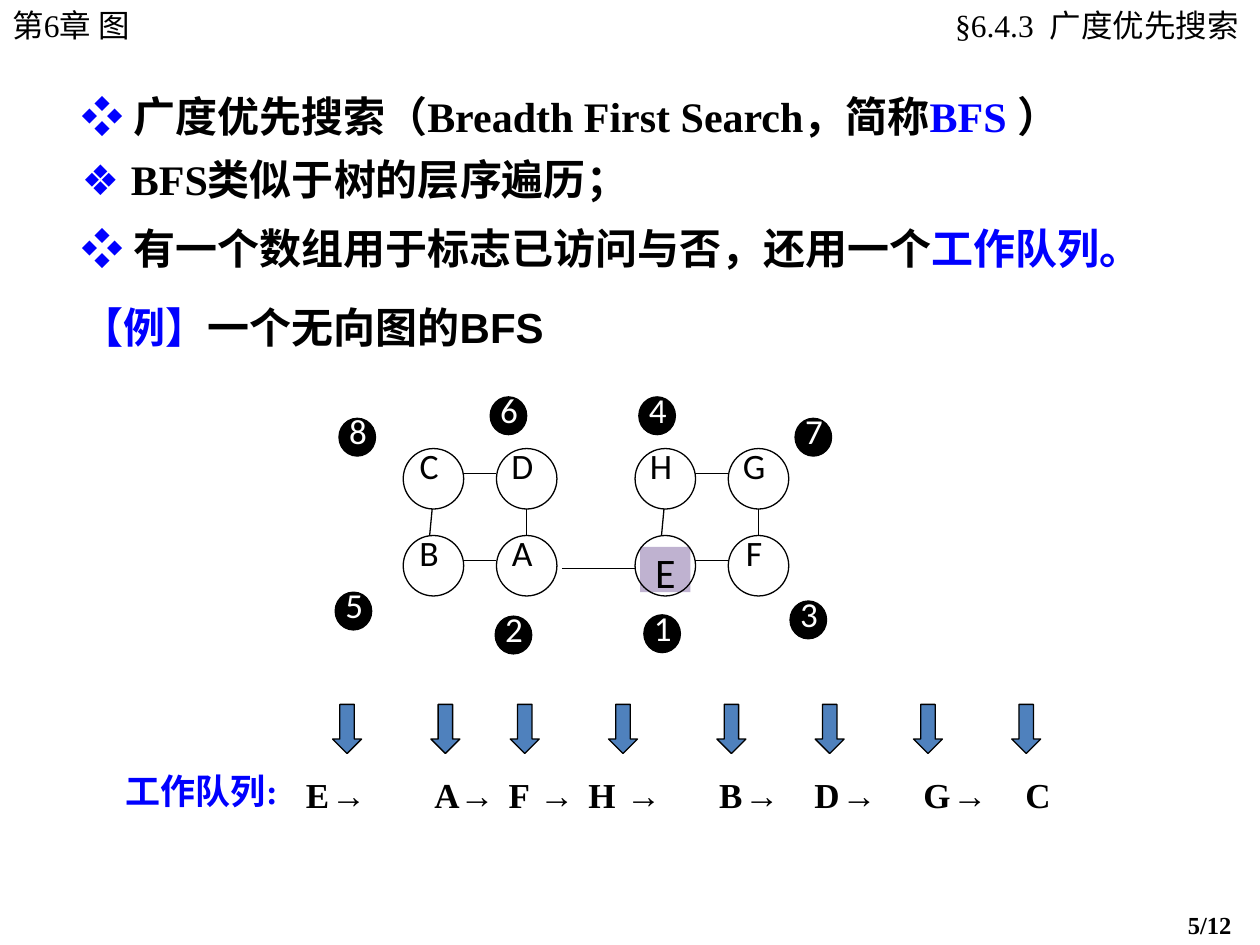
"""Build a slide on breadth first search with its graph and work queue."""
from typing import NamedTuple

from lxml.etree import SubElement
from pptx import Presentation
from pptx.dml.color import RGBColor
from pptx.enum.shapes import MSO_CONNECTOR, MSO_SHAPE
from pptx.enum.text import MSO_AUTO_SIZE, PP_ALIGN
from pptx.oxml.ns import qn
from pptx.util import Inches, Pt

BLACK, WHITE, BLUE = "000000", "FFFFFF", "0000FF"
STEEL, LILAC = "4F81BD", "BFB2D0"
SERIF, SANS, MONO, LABEL = "Times New Roman", "Arial", "Courier New", "Calibri"


class Run(NamedTuple):
    text: str
    color: str = BLACK
    face: str = SERIF


class Block(NamedTuple):
    x: float
    y: float
    w: float
    h: float
    runs: list[Run]
    size: float = 20
    bold: bool = True
    before: float = 0
    wrap: bool = True
    align: PP_ALIGN = PP_ALIGN.LEFT
    pads: tuple[float, float] = (0.1, 0.1)


class Mark(NamedTuple):
    text: str
    x: float
    y: float


ARROW = Run("→", face=MONO)
WIDE = Run("→ ", face=MONO)
BULLET = Run("❖ ", BLUE, SANS)

BLOCKS = [
    Block(0, 0, 1.74, 0.4, [Run("第6章 图")], 18, False, 11.2),
    Block(6.72, 0, 3.27, 0.4, [Run("§6.4.3  广度优先搜索")], 18, False, 11.2,
          align=PP_ALIGN.RIGHT, pads=(0.12, 0.16)),
    Block(0.55, 0.67, 8.75, 0.5, [
        BULLET, Run("广度优先搜索（Breadth First Search，简称"),
        Run("BFS ", BLUE), Run("）")], 24),
    Block(0.55, 1.17, 7.42, 0.5, [BULLET, Run("BFS类似于树的层序遍历；")], 24),
    Block(0.55, 1.72, 8.75, 0.5, [
        BULLET, Run("有一个数组用于标志已访问与否，还用一个"),
        Run("工作队列。", BLUE)], 24),
    Block(0.55, 2.34, 5.08, 0.5, [
        Run("【例】", BLUE, SANS), Run("一个无向图的BFS", face=SANS)], 24, before=15),
    Block(0.9, 6.06, 1.47, 0.44, [Run("工作队列:", BLUE)], wrap=False),
    Block(2.33, 6.09, 1.09, 0.44, [Run("E "), ARROW]),
    Block(3.35, 6.09, 2.27, 0.44, [
        Run("A "), WIDE, Run("F  "), WIDE, Run("H  "), ARROW]),
    Block(5.61, 6.09, 1.64, 0.44, [
        Run("B "), Run("→  ", face=MONO), Run("D "), ARROW]),
    Block(7.23, 6.09, 0.65, 0.44, [Run("G "), ARROW], wrap=False),
    Block(8.04, 6.09, 0.4, 0.44, [Run("C")], wrap=False),
    Block(9.33, 7.17, 0.67, 0.34, [Run("5/12")], 14, before=8.8),
]

SQUARES = [(3.2, ("CD", "BA")), (5.04, ("HG", "EF"))]
TOP, STEP, DROP, DIAM = 3.56, 0.74, 0.69, 0.48
SIDES = [
    (DIAM, 0.2, STEP, 0.2), (DIAM, 0.89, STEP, 0.89),
    (0.98, DIAM, 0.98, DROP), (0.23, DIAM, 0.21, DROP),
]
ORDER = [
    Mark("1", 5.11, 4.88), Mark("2", 3.93, 4.89), Mark("3", 6.27, 4.77),
    Mark("4", 5.07, 3.15), Mark("5", 2.66, 4.7), Mark("6", 3.89, 3.15),
    Mark("7", 6.31, 3.32), Mark("8", 2.69, 3.32),
]
ARROWS = [start + i * 0.78 for start, count in ((2.64, 2), (4.05, 2), (5.69, 4))
          for i in range(count)]


def tint(hue: str) -> RGBColor:
    """Turn a hex string into a colour."""
    return RGBColor.from_string(hue)


def draw_block(slide, block: Block) -> None:
    """Draw a text block with fonts shared where its runs agree."""
    box = slide.shapes.add_textbox(*map(Inches, block[:4]))
    frame = box.text_frame
    frame.word_wrap = block.wrap
    frame.auto_size = MSO_AUTO_SIZE.SHAPE_TO_FIT_TEXT
    frame.margin_left, frame.margin_right = map(Inches, block.pads)
    para = frame.paragraphs[0]
    para.alignment = block.align
    para.space_before = Pt(block.before)
    para.font.size, para.font.bold = Pt(block.size), block.bold
    one_hue = len({run.color for run in block.runs}) == 1
    one_face = len({run.face for run in block.runs}) == 1
    for item in block.runs:
        run = para.add_run()
        run.text = item.text
        (para if one_hue else run).font.color.rgb = tint(item.color)
        (para if one_face else run).font.name = item.face


def draw_label(slide, mark: Mark, w: float, h: float, size: float, color: str,
               align: PP_ALIGN, fill: str = "", pitch: float = 1.0) -> None:
    """Draw a label without margins, filled if a fill is given."""
    box = slide.shapes.add_textbox(*map(Inches, (mark.x, mark.y, w, h)))
    if fill:
        box.fill.solid()
        box.fill.fore_color.rgb = tint(fill)
    frame = box.text_frame
    frame.word_wrap = True
    frame.margin_left = frame.margin_right = Inches(0)
    frame.margin_top = frame.margin_bottom = Inches(0)
    para = frame.paragraphs[0]
    para.text, para.alignment, para.line_spacing = mark.text, align, pitch
    para.font.size, para.font.name = Pt(size), LABEL
    para.font.color.rgb = tint(color)


def draw_shape(slide, kind: MSO_SHAPE, x: float, y: float, w: float, h: float,
               fill: str = "") -> None:
    """Draw a thinly outlined shape, filled if a fill is given."""
    shape = slide.shapes.add_shape(kind, *map(Inches, (x, y, w, h)))
    shape.shadow.inherit = False
    if fill:
        shape.fill.solid()
        shape.fill.fore_color.rgb = tint(fill)
    else:
        shape.fill.background()
    shape.line.color.rgb = tint(BLACK)
    shape.line.width = Pt(0.75)


def draw_edge(slide, x1: float, y1: float, x2: float, y2: float) -> None:
    """Draw a graph edge."""
    edge = slide.shapes.add_connector(
        MSO_CONNECTOR.STRAIGHT, *map(Inches, (x1, y1, x2, y2)))
    edge.line.color.rgb = tint(BLACK)
    edge.line.width = Pt(0.75)
    SubElement(edge._element.spPr, qn("a:effectLst"))


def draw_node(slide, name: str, x: float, y: float) -> None:
    """Draw a graph node, with the start node E marked."""
    if name == "E":
        draw_label(slide, Mark(name, x + 0.04, y + 0.09), 0.4, 0.36, 24,
                   BLACK, PP_ALIGN.CENTER, LILAC)
    else:
        draw_label(slide, Mark(name, x, y), 0.41, 0.36, 20.4,
                   BLACK, PP_ALIGN.CENTER, WHITE, 0.9)
    draw_shape(slide, MSO_SHAPE.OVAL, x, y, DIAM, DIAM)


def draw_graph(slide) -> None:
    """Draw both squares, the bridge and the visiting order."""
    for left, rows in SQUARES:
        for x1, y1, x2, y2 in SIDES:
            draw_edge(slide, left + x1, TOP + y1, left + x2, TOP + y2)
        for i, row in enumerate(rows):
            for j, name in enumerate(row):
                draw_node(slide, name, left + j * STEP, TOP + i * DROP)
    draw_edge(slide, 4.46, 4.51, 5.04, 4.51)
    for mark in ORDER:
        draw_shape(slide, MSO_SHAPE.OVAL, mark.x, mark.y, 0.29, 0.3, BLACK)
        spot = Mark(mark.text, mark.x + 0.08, mark.y - 0.07)
        draw_label(slide, spot, 0.25, 0.37, 20, WHITE, PP_ALIGN.JUSTIFY)


def main() -> None:
    """Build and save the slide."""
    deck = Presentation()
    deck.slide_width, deck.slide_height = Inches(10), Inches(7.5)
    slide = deck.slides.add_slide(deck.slide_layouts[6])
    draw_graph(slide)
    for x in ARROWS:
        draw_shape(slide, MSO_SHAPE.DOWN_ARROW, x, 5.59, 0.23, 0.39, STEEL)
    for block in BLOCKS:
        draw_block(slide, block)
    deck.save("out.pptx")


if __name__ == "__main__":
    main()
